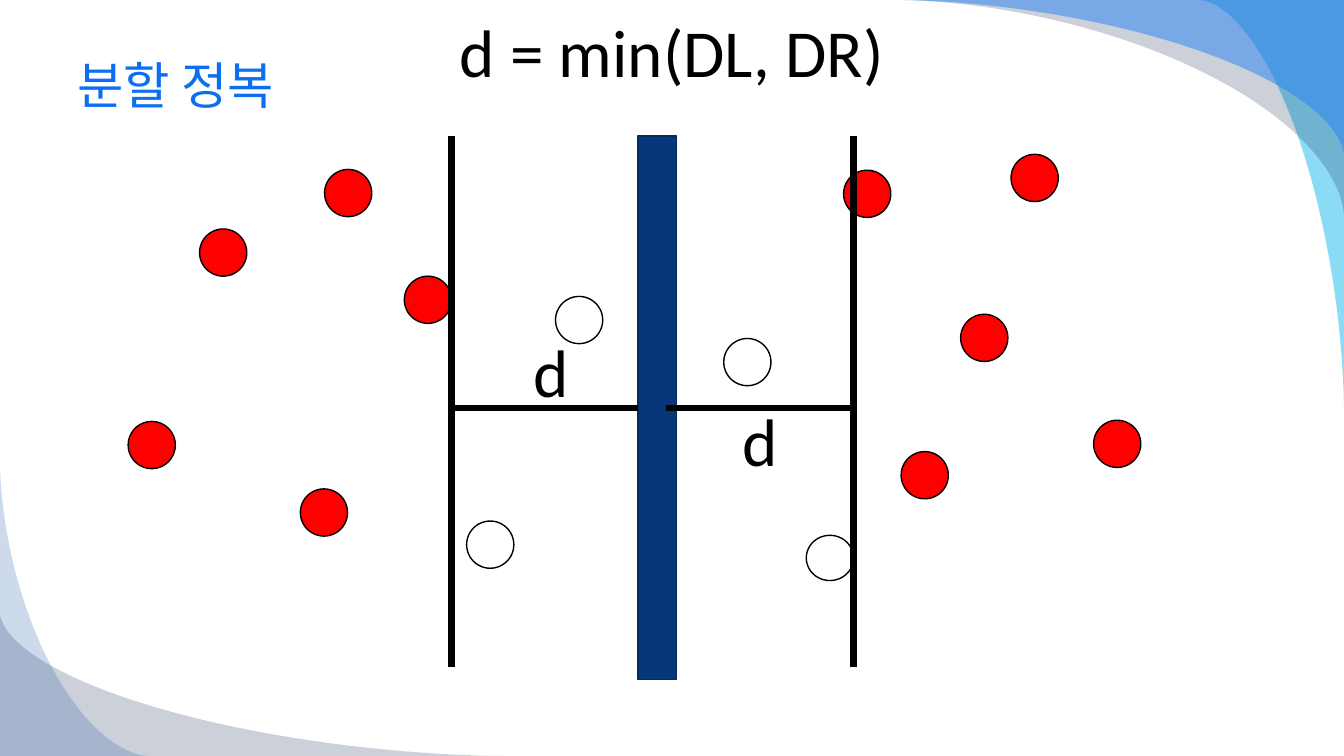
from math import cos, pi, sin

from lxml import etree
from pptx import Presentation
from pptx.dml.color import RGBColor
from pptx.enum.shapes import MSO_CONNECTOR, MSO_SHAPE
from pptx.enum.text import MSO_ANCHOR, PP_ALIGN
from pptx.oxml.ns import qn
from pptx.util import Cm, Pt

ELLIPSE = MSO_SHAPE.OVAL
RECTANGLE = MSO_SHAPE.RECTANGLE
STRAIGHT = MSO_CONNECTOR.STRAIGHT
LEFT = PP_ALIGN.LEFT
CENTER = PP_ALIGN.CENTER
TOP = MSO_ANCHOR.TOP
MIDDLE = MSO_ANCHOR.MIDDLE
LEFT_SIDE = 1

FONT = "Calibri"
COLORS = {
    "cyan": "00B1E9",
    "navy": "021741",
    "sky": "247FF4",
    "blue": "084AA1",
    "title": "0C6FF2",
    "far": "FF0000",
    "near": "FFFFFF",
    "black": "000000",
    "divider": "063879",
    "divider_edge": "04295A",
}

SLIDE_WIDTH, SLIDE_HEIGHT = 33.87, 19.05
CURVE_POWER = 1.77
CURVE_STEPS = 60
DOT_SIZE = 1.19
STRIP_TOP, STRIP_BOTTOM = 3.43, 16.81
STRIP_LEFT, STRIP_RIGHT = 11.38, 21.51
DIVIDER_LEFT, DIVIDER_WIDTH, DIVIDER_HEIGHT = 16.08, 0.97, 13.69
DISTANCE_LEVEL = STRIP_TOP + DIVIDER_HEIGHT / 2

TOP_RIGHT_SWEEPS = [
    (3.66, 10.36, "cyan", 45),
    (11.28, 5.46, "navy", 20),
    (11.28, 3.94, "sky", 49),
]
BOTTOM_LEFT_SWEEPS = [
    (12.7, 3.61, "navy", 20),
    (3.76, 7.42, "blue", 20),
]
FAR_POINTS = [
    (5.03, 5.77), (3.23, 10.62), (25.48, 3.89), (22.71, 11.38), (21.26, 4.29),
    (7.57, 12.32), (10.19, 6.96), (27.56, 10.59), (8.18, 4.27), (24.21, 7.92),
]
NEAR_POINTS = [(18.24, 8.53), (11.76, 13.13), (14, 7.47)]


def rgb(name):
    return RGBColor.from_string(COLORS[name])


def add_corner_sweep(slide, corner, inward, width, height, color, opacity):
    corner_x, corner_y = corner
    inward_x, inward_y = inward
    exponent = 2 / CURVE_POWER
    curve = []
    for step in range(CURVE_STEPS + 1):
        angle = pi / 2 * step / CURVE_STEPS
        across = width * (1 - max(cos(angle), 0) ** exponent)
        down = height * (1 - sin(angle) ** exponent)
        curve.append((Cm(corner_x + inward_x * across), Cm(corner_y + inward_y * down)))
    builder = slide.shapes.build_freeform(Cm(corner_x), Cm(corner_y))
    builder.add_line_segments(curve, close=True)
    shape = builder.convert_to_shape()
    shape.shadow.inherit = False
    shape.fill.solid()
    shape.fill.fore_color.rgb = rgb(color)
    shape.line.fill.background()
    color_element = shape._element.spPr.find(qn("a:solidFill"))[0]
    etree.SubElement(color_element, qn("a:alpha")).set("val", str(opacity * 1000))


def add_filled_shape(slide, kind, left, top, width, height, fill, line):
    shape = slide.shapes.add_shape(kind, Cm(left), Cm(top), Cm(width), Cm(height))
    shape.shadow.inherit = False
    shape.fill.solid()
    shape.fill.fore_color.rgb = rgb(fill)
    shape.line.color.rgb = rgb(line)
    shape.line.width = Pt(1)
    return shape


def add_point(slide, left, top, fill, height=DOT_SIZE):
    add_filled_shape(slide, ELLIPSE, left, top, DOT_SIZE, height, fill, "black")


def add_line(slide, start_x, start_y, end_x, end_y):
    connector = slide.shapes.add_connector(
        STRAIGHT, Cm(start_x), Cm(start_y), Cm(end_x), Cm(end_y)
    )
    connector.line.color.rgb = rgb("black")
    connector.line.width = Pt(4.5)
    etree.SubElement(connector._element.spPr, qn("a:effectLst"))
    return connector


def add_text(slide, text, left, top, width, height, size=48, color="black",
             alignment=CENTER, anchor=TOP):
    box = slide.shapes.add_textbox(Cm(left), Cm(top), Cm(width), Cm(height))
    frame = box.text_frame
    frame.word_wrap = True
    frame.vertical_anchor = anchor
    paragraph = frame.paragraphs[0]
    paragraph.alignment = alignment
    run = paragraph.add_run()
    run.text = text
    run.font.name = FONT
    run.font.size = Pt(size)
    run.font.color.rgb = rgb(color)


def main():
    presentation = Presentation()
    presentation.slide_width = Cm(SLIDE_WIDTH)
    presentation.slide_height = Cm(SLIDE_HEIGHT)
    slide = presentation.slides.add_slide(presentation.slide_layouts[6])

    for sweep in TOP_RIGHT_SWEEPS:
        add_corner_sweep(slide, (SLIDE_WIDTH, 0), (-1, 1), *sweep)
    for sweep in BOTTOM_LEFT_SWEEPS:
        add_corner_sweep(slide, (0, SLIDE_HEIGHT), (1, -1), *sweep)

    add_text(slide, "분할 정복", 1.7, 0.84, 30.48, 2.57, 36, "title", LEFT, MIDDLE)

    for left, top in FAR_POINTS:
        add_point(slide, left, top, "far")
    for left, top in NEAR_POINTS:
        add_point(slide, left, top, "near")
    add_point(slide, 20.32, 13.49, "near", 1.14)

    add_text(slide, "d = min(DL, DR)", 9.93, 0.13, 14, 2.39)

    divider = add_filled_shape(
        slide, RECTANGLE, DIVIDER_LEFT, STRIP_TOP, DIVIDER_WIDTH, DIVIDER_HEIGHT,
        "divider", "divider_edge",
    )
    left_distance = add_line(
        slide, STRIP_LEFT, DISTANCE_LEVEL, DIVIDER_LEFT, DISTANCE_LEVEL
    )
    left_distance.end_connect(divider, LEFT_SIDE)
    add_line(slide, 16.79, DISTANCE_LEVEL, STRIP_RIGHT, DISTANCE_LEVEL)
    for edge in (STRIP_LEFT, STRIP_RIGHT):
        add_line(slide, edge, STRIP_BOTTOM, edge, STRIP_TOP)

    for left, top in [(12.9, 8.2), (18.16, 9.93)]:
        add_text(slide, "d", left, top, 1.98, 2.39)

    presentation.save("out.pptx")


if __name__ == "__main__":
    main()
